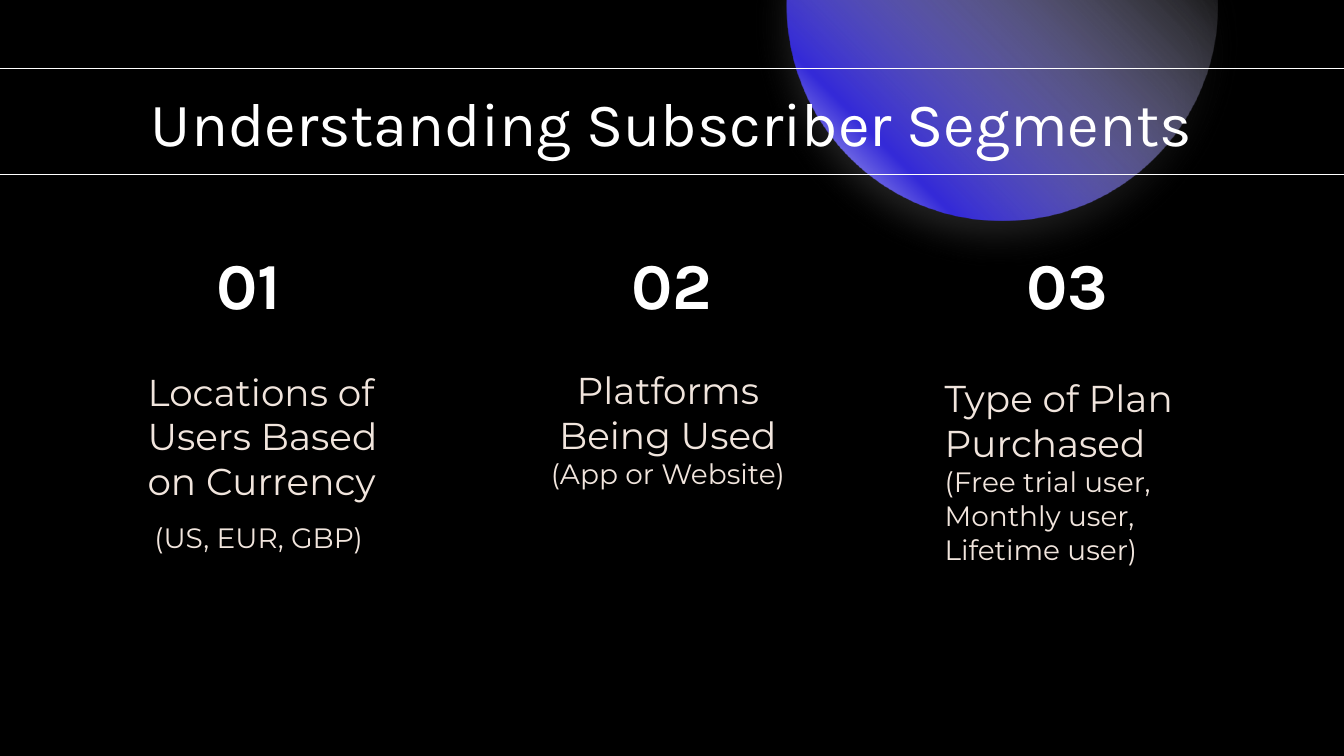
from dataclasses import dataclass

from pptx import Presentation
from pptx import util as u
from pptx.dml.color import RGBColor
from pptx.enum import shapes, text
from pptx.oxml import parse_xml
from pptx.oxml.ns import nsdecls

COLOURS = {"black": "000000", "white": "FFFFFF", "cream": "F1E5DD", "blue": "342AD8"}
LEFT, CENTRE = text.PP_ALIGN.LEFT, text.PP_ALIGN.CENTER
TOP, MIDDLE, BOTTOM = (text.MSO_ANCHOR.TOP, text.MSO_ANCHOR.MIDDLE,
                       text.MSO_ANCHOR.BOTTOM)


@dataclass
class Line:
    words: str
    size: float
    indent: float = 0.5
    before: float = 0


@dataclass
class Segment:
    number: str
    number_left: float
    frame: tuple[float, float, float, float]
    align: text.PP_ALIGN
    lines: list[Line]


SEGMENTS = [
    Segment("01", 0.62, (0.5, 3.75, 2.46, 0.47), LEFT, [
        Line("Locations of Users Based", 20), Line("on Currency", 20),
        Line("(US, EUR, GBP)", 15, indent=0.55, before=9)]),
    Segment("02", 3.77, (3.49, 2.81, 2.46, 0.94), CENTRE, [
        Line("Platforms", 20), Line("Being Used", 20), Line("(App or Website)", 15)]),
    Segment("03", 6.71, (6.43, 2.64, 2.86, 1.67), LEFT, [
        Line("Type of Plan Purchased", 20),
        Line("(Free trial user, Monthly user,", 15), Line("Lifetime user)", 15)]),
]


def colour(name: str) -> RGBColor:
    return RGBColor.from_string(COLOURS[name])


def add_text(page, frame: tuple[float, float, float, float], lines: list[Line], *,
             font: str, ink: str, align=CENTRE, anchor=TOP, bold: bool = False) -> None:
    box = page.shapes.add_textbox(*map(u.Inches, frame))
    body = box.text_frame
    body.word_wrap = True
    body.vertical_anchor = anchor
    body.margin_left = body.margin_right = u.Inches(0.1)
    body.margin_top = body.margin_bottom = u.Inches(0.1)
    for index, line in enumerate(lines):
        para = body.add_paragraph() if index else body.paragraphs[0]
        para.alignment = align
        if line.indent:
            para._p.get_or_add_pPr().set("marL", str(u.Inches(line.indent)))
        if line.before:
            para.space_before = u.Pt(line.before)
        span = para.add_run()
        span.text = line.words
        span.font.name = font
        span.font.size = u.Pt(line.size)
        span.font.bold = bold
        span.font.color.rgb = colour(ink)


def add_planet(page) -> None:
    planet = page.shapes.add_shape(shapes.MSO_SHAPE.OVAL, u.Inches(5.85),
                                   u.Inches(-1.57), u.Inches(3.21), u.Inches(3.21))
    planet.line.fill.background()
    stops = [(0, "white", 100), (20, "blue", 100), (82, "white", 0), (100, "white", 0)]
    stop_xml = "".join(
        f'<a:gs pos="{position * 1000}"><a:srgbClr val="{COLOURS[name]}">'
        f'<a:alpha val="{alpha * 1000}"/></a:srgbClr></a:gs>'
        for position, name, alpha in stops)
    gradient = parse_xml(f'<a:gradFill {nsdecls("a")} rotWithShape="1"><a:gsLst>{stop_xml}'
                         '</a:gsLst><a:lin ang="18900000" scaled="0"/></a:gradFill>')
    glow = parse_xml(
        f'<a:effectLst {nsdecls("a")}><a:outerShdw blurRad="{u.Pt(20.2)}" '
        f'dist="{u.Pt(8.2)}" dir="5400000" algn="bl" rotWithShape="0">'
        f'<a:srgbClr val="{COLOURS["white"]}"><a:alpha val="15000"/></a:srgbClr>'
        '</a:outerShdw></a:effectLst>')
    properties = planet._element.spPr
    properties.insert(2, gradient)
    properties.append(glow)


def add_rule(page, top: float) -> None:
    rule = page.shapes.add_connector(shapes.MSO_CONNECTOR.STRAIGHT, u.Inches(-0.01),
                                     u.Inches(top), u.Inches(10), u.Inches(top))
    rule.line.color.rgb = colour("white")
    rule.line.width = u.Pt(0.75)
    rule._element.spPr.append(parse_xml(f'<a:effectLst {nsdecls("a")}/>'))


def main() -> None:
    # Widescreen 16:9 page
    deck = Presentation()
    deck.slide_width, deck.slide_height = u.Inches(10), u.Inches(10 * 9 / 16)
    page = deck.slides.add_slide(deck.slide_layouts[6])
    page.background.fill.solid()
    page.background.fill.fore_color.rgb = colour("black")

    # Glowing planet behind the heading
    add_planet(page)

    # Heading
    add_text(page, (0.78, 0.53, 8.44, 0.79),
             [Line("Understanding Subscriber Segments", 33, indent=0)],
             font="Karla", ink="white")

    # Numbered segments
    for segment in SEGMENTS:
        add_text(page, segment.frame, segment.lines, font="Montserrat", ink="cream",
                 align=segment.align, anchor=BOTTOM)
    for segment in SEGMENTS:
        add_text(page, (segment.number_left, 1.82, 2.46, 0.58),
                 [Line(segment.number, 35, indent=0)],
                 font="Karla", ink="white", anchor=MIDDLE, bold=True)

    # Rules above and below the heading
    for top in (0.51, 1.3):
        add_rule(page, top)

    deck.save("out.pptx")


if __name__ == "__main__":
    main()
